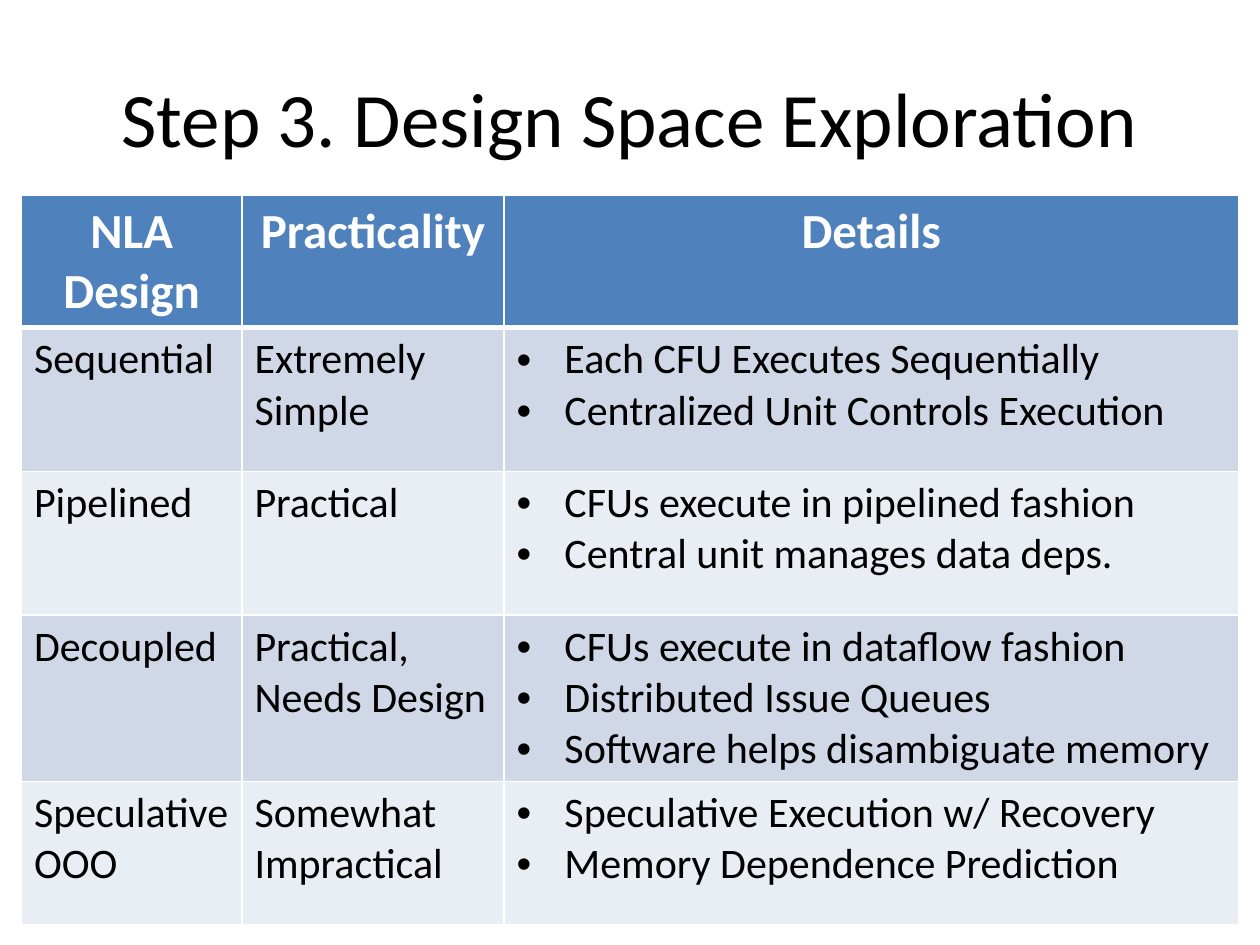
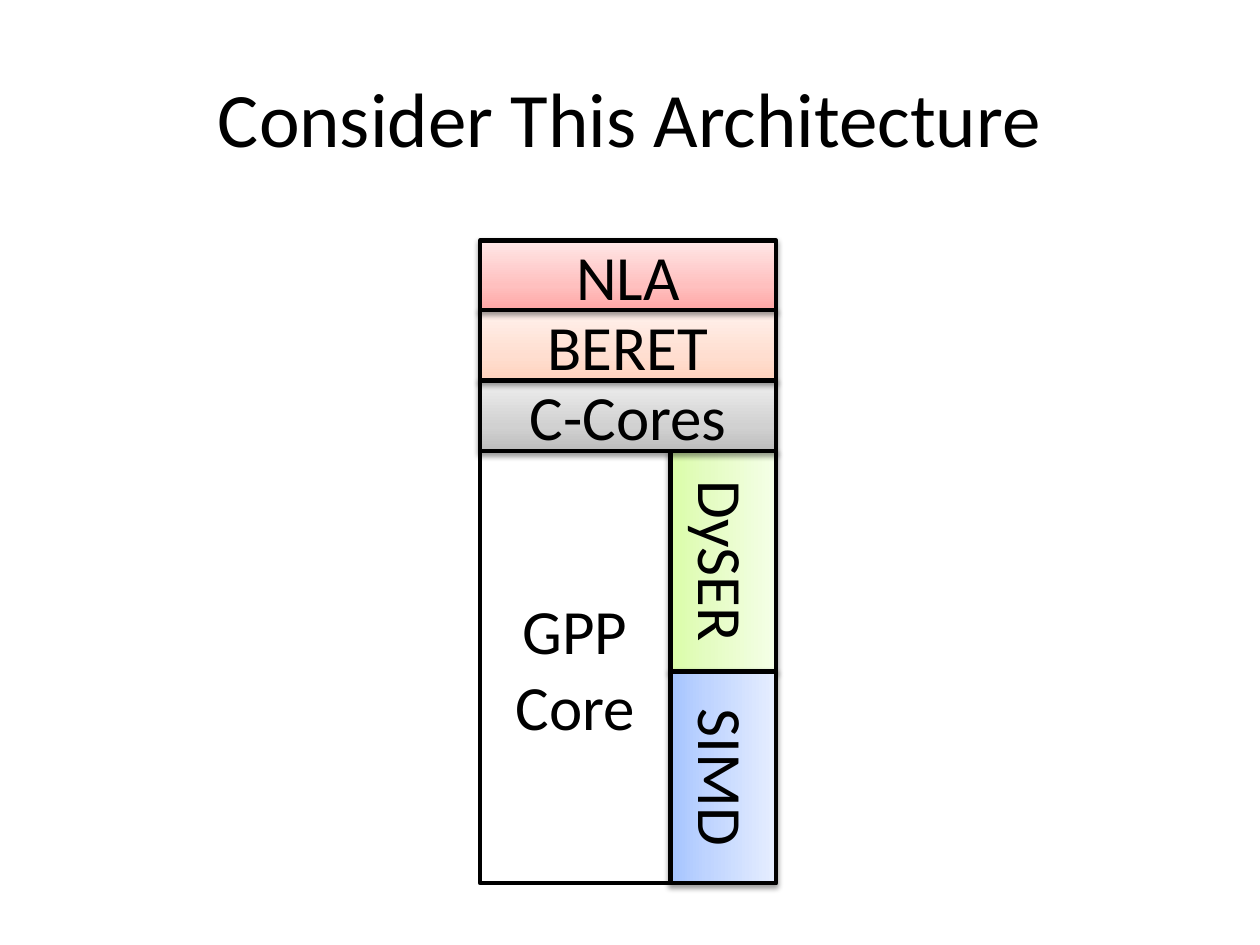
"""Build two slides: a design comparison table and an architecture diagram."""
from dataclasses import dataclass

from lxml import etree
from pptx import Presentation
from pptx import util as u
from pptx.dml.color import RGBColor
from pptx.enum import shapes, text
from pptx.oxml import ns


@dataclass(frozen=True)
class Theme:
    """Colours, font and type sizes shared by the slides."""
    font: str = "Calibri"
    ink: str = "000000"
    paper: str = "FFFFFF"
    header: str = "4F81BD"
    bands: tuple = ("D0D8E8", "E9EDF4")
    red: tuple = ("FFA6A5", "FFC0BF", "FFE7E7")
    orange: tuple = ("FFD2BD", "FFDED0", "FFF2ED")
    grey: tuple = ("BDBDBD", "D1D1D1", "EEEEEE")
    green: tuple = ("DAFDA7", "E4FCC2", "F5FFE7")
    blue: tuple = ("A4C4FF", "BFD4FF", "E6EEFF")
    title_size: int = 44
    block_size: int = 36
    header_size: int = 28
    body_size: int = 24
    outline: float = 2.5


T = Theme()
CENTER, LEFT = text.PP_ALIGN.CENTER, text.PP_ALIGN.LEFT
HEADERS = ("NLA Design", "Practicality", "Details")
DESIGNS = (
    ("Sequential", "Extremely\nSimple",
     "Each CFU Executes Sequentially\nCentralized Unit Controls Execution"),
    ("Pipelined", "Practical",
     "CFUs execute in pipelined fashion\nCentral unit manages data deps."),
    ("Decoupled", "Practical,\nNeeds Design",
     "CFUs execute in dataflow fashion\nDistributed Issue Queues\n"
     "Software helps disambiguate memory"),
    ("Speculative\nOOO", "Somewhat\nImpractical",
     "Speculative Execution w/ Recovery\nMemory Dependence Prediction"),
)


def rgb(color):
    """Return a colour object for a hex string."""
    return RGBColor.from_string(color)


def sub(parent, tag, **attrs):
    """Append a drawing element with the given attributes."""
    return etree.SubElement(parent, ns.qn(f"a:{tag}"),
                            {k: str(v) for k, v in attrs.items()})


def write(tf, content, size=T.body_size, color=T.ink, bold=False,
          align=LEFT, bullet=False):
    """Fill a text frame, one paragraph for each line of content."""
    for i, line in enumerate(content.split("\n")):
        p = tf.add_paragraph() if i else tf.paragraphs[0]
        p.alignment = align
        r = p.add_run()
        r.text = line
        r.font.name, r.font.size, r.font.bold = T.font, u.Pt(size), bold
        r.font.color.rgb = rgb(color)
        if bullet:
            pr = p._p.get_or_add_pPr()
            indent = u.Inches(0.38)
            pr.set("marL", str(indent))
            pr.set("indent", str(-indent))
            sub(pr, "buFont", typeface="Arial")
            sub(pr, "buChar", char="•")


def add_slide(prs, title):
    """Add a title-only slide with its formatted title."""
    slide = prs.slides.add_slide(prs.slide_layouts[5])
    sp = slide.shapes.title
    sp.left, sp.top = u.Inches(0.5), u.Inches(0.3)
    sp.width, sp.height = u.Inches(9), u.Inches(1.25)
    sp.text_frame.vertical_anchor = text.MSO_ANCHOR.MIDDLE
    write(sp.text_frame, title, size=T.title_size, align=CENTER)
    return slide


def format_cell(cell, fill, bottom=1):
    """Give a table cell its white borders and fill."""
    pr = cell._tc.get_or_add_tcPr()
    for side, width in (("L", 1), ("R", 1), ("T", 1), ("B", bottom)):
        ln = sub(pr, f"ln{side}", w=u.Pt(width))
        sub(sub(ln, "solidFill"), "srgbClr", val=T.paper)
    cell.fill.solid()
    cell.fill.fore_color.rgb = rgb(fill)


def add_design_table(slide, left, top, widths, heights):
    """Add the table that compares the designs."""
    table = slide.shapes.add_table(
        len(heights), len(widths), u.Inches(left), u.Inches(top),
        u.Inches(sum(widths)), u.Inches(sum(heights))).table
    for column, width in zip(table.columns, widths):
        column.width = u.Inches(width)
    for row, height in zip(table.rows, heights):
        row.height = u.Inches(height)
    for c, label in enumerate(HEADERS):
        cell = table.cell(0, c)
        format_cell(cell, T.header, bottom=3)
        write(cell.text_frame, label, size=T.header_size, color=T.paper,
              bold=True, align=CENTER)
    for r, design in enumerate(DESIGNS):
        for c, content in enumerate(design):
            cell = table.cell(r + 1, c)
            format_cell(cell, T.bands[r % 2], bottom=1)
            write(cell.text_frame, content, bullet=c == 2)


def set_gradient(sp, colors):
    """Fill a shape with a three-stop gradient rising from its base."""
    sp.fill.gradient()
    sp.fill.gradient_angle = 90
    stops = sp._element.spPr.find(".//" + ns.qn("a:gsLst"))
    for stop in list(stops):
        stops.remove(stop)
    for pos, color in zip((0, 35, 100), colors):
        sub(sub(stops, "gs", pos=pos * 1000), "srgbClr", val=color)


def set_shadow(sp):
    """Add a soft shadow below a shape."""
    effects = sp._element.spPr.find(ns.qn("a:effectLst"))
    shadow = sub(effects, "outerShdw", blurRad=u.Pt(3.1), dist=u.Pt(1.6),
                 dir=90 * 60000, rotWithShape=0)
    sub(sub(shadow, "srgbClr", val=T.ink), "alpha", val=38000)


def add_block(group, label, left, top, width, height, gradient=None,
              sideways=False):
    """Add an outlined block; the box given is the one that shows."""
    if sideways:
        left, top = left + (width - height) / 2, top + (height - width) / 2
        width, height = height, width
    sp = group.shapes.add_shape(
        shapes.MSO_SHAPE.RECTANGLE, u.Inches(left), u.Inches(top),
        u.Inches(width), u.Inches(height))
    sp.rotation = 90 if sideways else 0
    sp.line.color.rgb, sp.line.width = rgb(T.ink), u.Pt(T.outline)
    sp.shadow.inherit = False
    if gradient:
        set_gradient(sp, gradient)
        set_shadow(sp)
    else:
        sp.fill.solid()
        sp.fill.fore_color.rgb = rgb(T.paper)
    sp.text_frame.vertical_anchor = text.MSO_ANCHOR.MIDDLE
    write(sp.text_frame, label, size=T.block_size, align=CENTER)


def add_architecture(slide, left, core_top, core_width, side_width):
    """Add the core, its side units and the bands stacked above it."""
    group = slide.shapes.add_group_shape()
    sides = (("DySER", 1.75, T.green), ("SIMD", 1.68, T.blue))
    bands = (("C-Cores", 0.56, T.grey), ("BERET", 0.56, T.orange),
             ("NLA", 0.55, T.red))
    core_height = sum(height for _, height, _ in sides)
    add_block(group, "GPP\nCore", left, core_top, core_width, core_height)
    top = core_top
    for label, height, gradient in sides:
        add_block(group, label, left + core_width, top, side_width, height,
                  gradient, sideways=True)
        top += height
    top = core_top
    for label, height, gradient in bands:
        top -= height
        add_block(group, label, left, top, core_width + side_width, height,
                  gradient)


def main():
    """Build and save the presentation."""
    prs = Presentation()
    prs.slide_width, prs.slide_height = u.Inches(10), u.Inches(7.5)
    slide = add_slide(prs, "Step 3. Design Space Exploration")
    add_design_table(slide, 0.17, 1.55, (1.75, 2.08, 5.83),
                     (0.56,) + (1.14,) * len(DESIGNS))
    slide = add_slide(prs, "Consider This Architecture")
    add_architecture(slide, 3.81, 3.58, 1.51, 0.84)
    prs.save("out.pptx")


if __name__ == "__main__":
    main()
